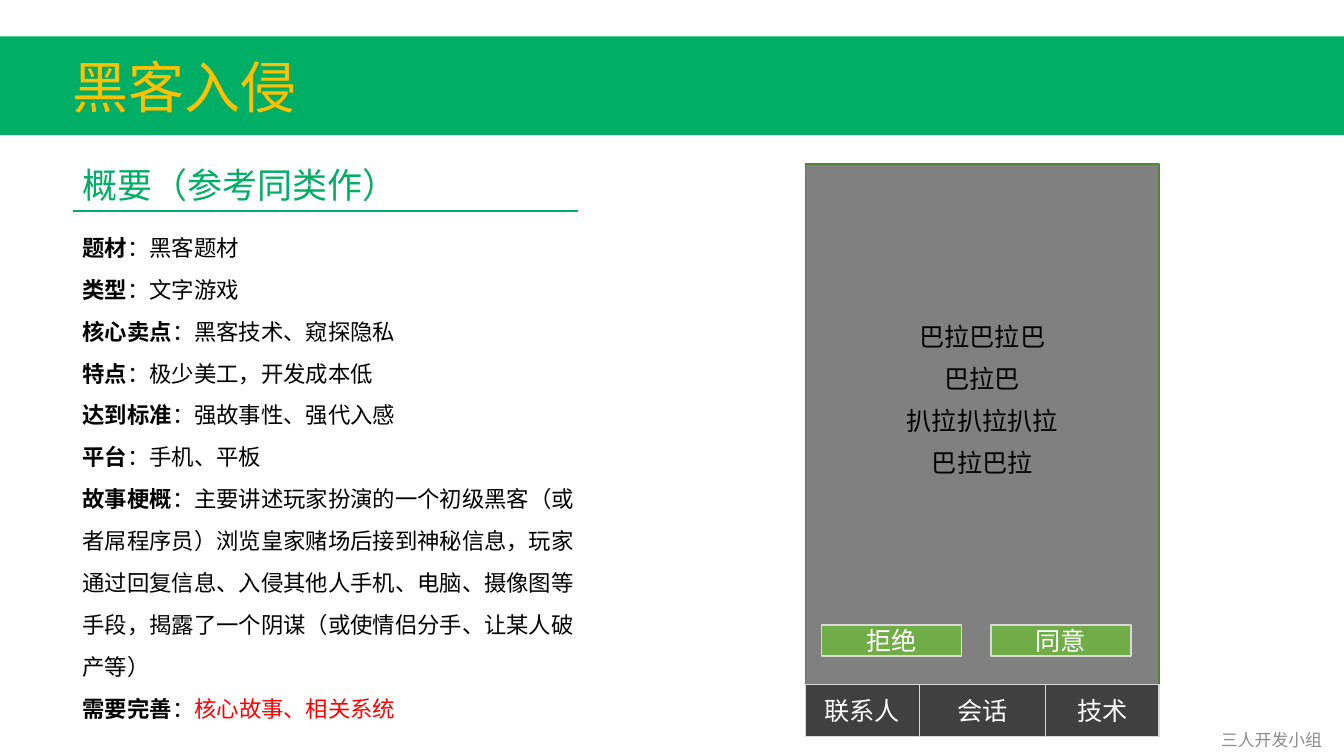
from lxml import etree
from pptx import Presentation
from pptx.dml.color import RGBColor
from pptx.enum import shapes, text
from pptx.oxml.ns import qn
from pptx.util import Pt

CJK = "Noto Sans CJK SC"
GREEN = "00AE66"
PALE = "D9D9D9"
LEFT, CENTER = text.PP_ALIGN.LEFT, text.PP_ALIGN.CENTER
TOP, MIDDLE = text.MSO_ANCHOR.TOP, text.MSO_ANCHOR.MIDDLE

SUMMARY = [
    ("题材", "黑客题材"),
    ("类型", "文字游戏"),
    ("核心卖点", "黑客技术、窥探隐私"),
    ("特点", "极少美工，开发成本低"),
    ("达到标准", "强故事性、强代入感"),
    ("平台", "手机、平板"),
    ("故事梗概", "主要讲述玩家扮演的一个初级黑客（或者屌程序员）浏览皇家赌场后接到神秘信息，"
                 "玩家通过回复信息、入侵其他人手机、电脑、摄像图等手段，揭露了一个阴谋"
                 "（或使情侣分手、让某人破产等）"),
]
MESSAGE = ["巴拉巴拉巴", "巴拉巴", "扒拉扒拉扒拉", "巴拉巴拉"]


def rgb(value):
    return RGBColor.from_string(value)


def write(frame, paragraphs, size=18, color="000000", font=CJK, align=LEFT,
          anchor=TOP, spacing=None):
    frame.word_wrap = True
    frame.vertical_anchor = anchor
    for index, runs in enumerate(paragraphs):
        paragraph = frame.add_paragraph() if index else frame.paragraphs[0]
        paragraph.alignment = align
        if spacing:
            paragraph.line_spacing = Pt(spacing)
        if isinstance(runs, str):
            runs = [(runs, False, color)]
        for words, bold, run_color in runs:
            run = paragraph.add_run()
            run.text = words
            run.font.size = Pt(size)
            run.font.bold = bold
            run.font.name = font
            run.font.color.rgb = rgb(run_color)
            etree.SubElement(run.font._element, qn("a:ea"), typeface=font)


def label(slide, box, paragraphs, **style):
    area = slide.shapes.add_textbox(*map(Pt, box))
    write(area.text_frame, paragraphs, **style)


def block(slide, box, fill, line=None, caption=None):
    rectangle = slide.shapes.add_shape(shapes.MSO_SHAPE.RECTANGLE, *map(Pt, box))
    rectangle.shadow.inherit = False
    rectangle.fill.solid()
    rectangle.fill.fore_color.rgb = rgb(fill)
    if line:
        rectangle.line.color.rgb = rgb(line)
        rectangle.line.width = Pt(1)
    else:
        rectangle.line.fill.background()
    if caption:
        write(rectangle.text_frame, [caption], color="FFFFFF", align=CENTER, anchor=MIDDLE)


def rule(slide, left, right, y):
    underline = slide.shapes.add_connector(
        shapes.MSO_CONNECTOR.STRAIGHT, Pt(left), Pt(y), Pt(right), Pt(y))
    underline.line.color.rgb = rgb(GREEN)
    underline.line.width = Pt(1.5)
    etree.SubElement(underline._element.spPr, qn("a:effectLst"))


def phone(slide):
    left = 575.3
    block(slide, (left, 117.2, 252.7, 409), "808080", line="548235")
    tab_left = left
    for caption, width in [("联系人", 81.35), ("会话", 90), ("技术", 81.35)]:
        block(slide, (tab_left, 489, width, 37.2), "404040", PALE, caption)
        tab_left += width
    label(slide, (639.4, 217.4, 124.6, 125.3), MESSAGE, align=CENTER, spacing=30)
    for index, caption in enumerate(["拒绝", "同意"]):
        block(slide, (586.8 + 121 * index, 446.4, 100, 22.3), "70AD47", PALE, caption)


def main():
    deck = Presentation()
    deck.slide_width, deck.slide_height = Pt(960), Pt(540)
    slide = deck.slides.add_slide(deck.slide_layouts[6])

    block(slide, (0, 26, 960, 70.6), GREEN)
    label(slide, (44.6, 33.8, 338.4, 55.4), ["黑客入侵"], size=40, color="FFC000")
    rule(slide, 52, 412.6, 151)
    label(slide, (52, 113, 269.3, 37.4), ["概要（参考同类作）"], size=25, color=GREEN)

    summary = [[(topic, True, "000000"), ("：" + detail, False, "000000")]
               for topic, detail in SUMMARY]
    summary.append([("需要完善", True, "000000"), ("：", False, "000000"),
                    ("核心故事、相关系统", False, "FF0000")])
    label(slide, (52, 152.6, 371.5, 401), summary, size=16, spacing=30)
    label(slide, (856.8, 519.1, 103, 19.4), ["三人开发小组"], size=12, color="8C8C8C",
          font="Calibri", align=CENTER, anchor=MIDDLE)
    phone(slide)
    deck.save("out.pptx")


if __name__ == "__main__":
    main()
